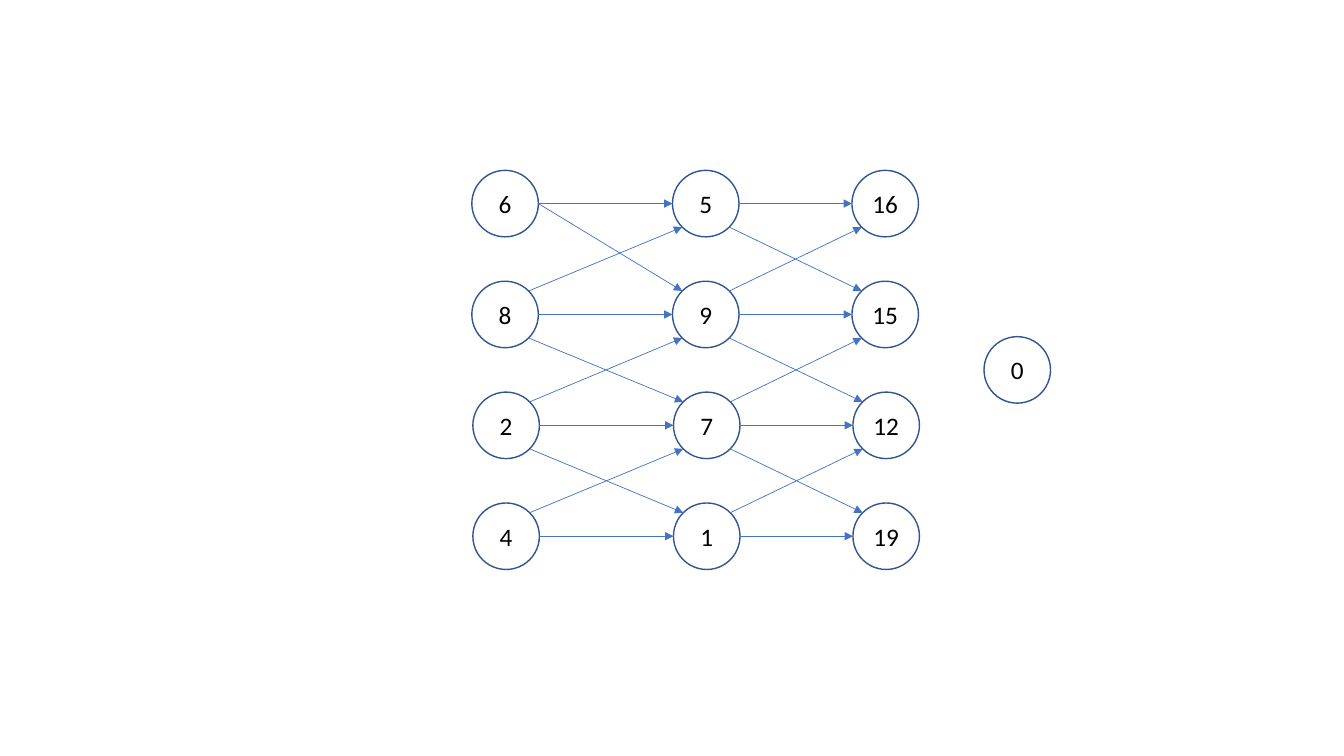
from dataclasses import dataclass
from math import cos, radians, sin

from lxml.etree import SubElement
from pptx import Presentation
from pptx.dml.color import RGBColor
from pptx.enum.shapes import MSO_CONNECTOR as Connector, MSO_SHAPE as Preset
from pptx.enum.text import MSO_ANCHOR as Anchor, PP_ALIGN as Align
from pptx.oxml.ns import qn
from pptx.util import Inches, Pt


@dataclass(frozen=True)
class Theme:
    font: str = "Calibri"
    text_size: float = 18
    text_color: str = "000000"
    node_fill: str = "FFFFFF"
    node_outline: str = "325491"
    outline_width: float = 1
    arrow_color: str = "4472C4"
    arrow_width: float = 0.5


def write_text(shape, text, font, size, color, align=Align.CENTER, anchor=Anchor.MIDDLE):
    frame = shape.text_frame
    frame.vertical_anchor = anchor
    paragraph = frame.paragraphs[0]
    paragraph.alignment = align
    run = paragraph.add_run()
    run.text = text
    run.font.name = font
    run.font.size = Pt(size)
    run.font.color.rgb = RGBColor.from_string(color)


def rim_point(node, site):
    angle = radians(90 + 45 * site)
    x = node.left + node.width / 2 * (1 + cos(angle))
    y = node.top + node.height / 2 * (1 - sin(angle))
    return round(x), round(y)


class Canvas:
    def __init__(self, slide, theme):
        self.slide = slide
        self.theme = theme

    def node(self, text, left, top, size):
        theme = self.theme
        shape = self.slide.shapes.add_shape(
            Preset.OVAL, Inches(left), Inches(top), Inches(size), Inches(size)
        )
        shape.name = f"Node {text}"
        shape.shadow.inherit = False
        shape.fill.solid()
        shape.fill.fore_color.rgb = RGBColor.from_string(theme.node_fill)
        shape.line.color.rgb = RGBColor.from_string(theme.node_outline)
        shape.line.width = Pt(theme.outline_width)
        write_text(shape, text, font=theme.font, size=theme.text_size, color=theme.text_color)
        return shape

    def arrow(self, source, target, source_site, target_site):
        connector = self.slide.shapes.add_connector(
            Connector.STRAIGHT,
            *rim_point(source, source_site),
            *rim_point(target, target_site),
        )
        connector.name = f"{source.name} to {target.name}"
        connector.line.color.rgb = RGBColor.from_string(self.theme.arrow_color)
        connector.line.width = Pt(self.theme.arrow_width)
        SubElement(connector.get_or_add_ln(), qn("a:tailEnd"), type="triangle")
        element = connector.element
        SubElement(element.spPr, qn("a:effectLst"))
        glue = element.find(".//" + qn("p:cNvCxnSpPr"))
        for tag, node, site in (
            ("a:stCxn", source, source_site),
            ("a:endCxn", target, target_site),
        ):
            SubElement(glue, qn(tag), id=str(node.shape_id), idx=str(site))


NODE_SIZE = 0.66
FIRST_ROW_TOP = 1.69
ROW_STEP = 1.1
PAIR_SHIFT = 0.01
LAYERS = {
    4.68: ("6", "8", "2", "4"),
    6.67: ("5", "9", "7", "1"),
    8.45: ("16", "15", "12", "19"),
}
TOP_LEFT, LEFT, BOTTOM_LEFT, BOTTOM_RIGHT, RIGHT, TOP_RIGHT = 1, 2, 3, 5, 6, 7
SITES_BY_ROW_CHANGE = {
    -1: (TOP_RIGHT, BOTTOM_LEFT),
    0: (RIGHT, LEFT),
    1: (BOTTOM_RIGHT, TOP_LEFT),
}
SPECIAL_SITES = {("6", "9"): (RIGHT, TOP_LEFT)}

presentation = Presentation()
presentation.slide_width = Inches(13.33)
presentation.slide_height = Inches(7.5)
slide = presentation.slides.add_slide(presentation.slide_layouts[6])
canvas = Canvas(slide, Theme())

layers = [
    [
        canvas.node(
            value, left + PAIR_SHIFT * (row // 2), FIRST_ROW_TOP + ROW_STEP * row, NODE_SIZE
        )
        for row, value in enumerate(values)
    ]
    for left, values in LAYERS.items()
]

for sources, targets in zip(layers, layers[1:]):
    for row, source in enumerate(sources):
        for change, sites in SITES_BY_ROW_CHANGE.items():
            if 0 <= row + change < len(targets):
                target = targets[row + change]
                pair = (source.text_frame.text, target.text_frame.text)
                canvas.arrow(source, target, *SPECIAL_SITES.get(pair, sites))

canvas.node("0", 9.76, FIRST_ROW_TOP + ROW_STEP * 1.5, NODE_SIZE)

presentation.save("out.pptx")
